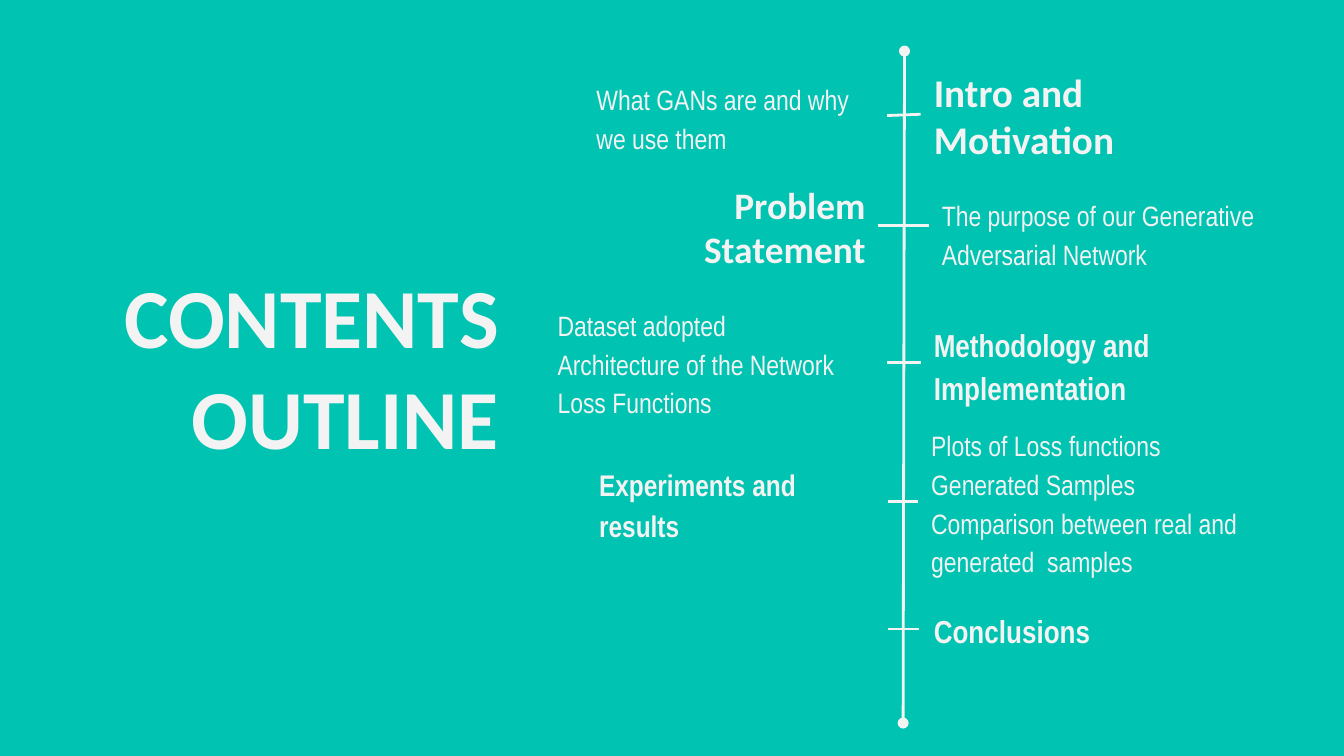
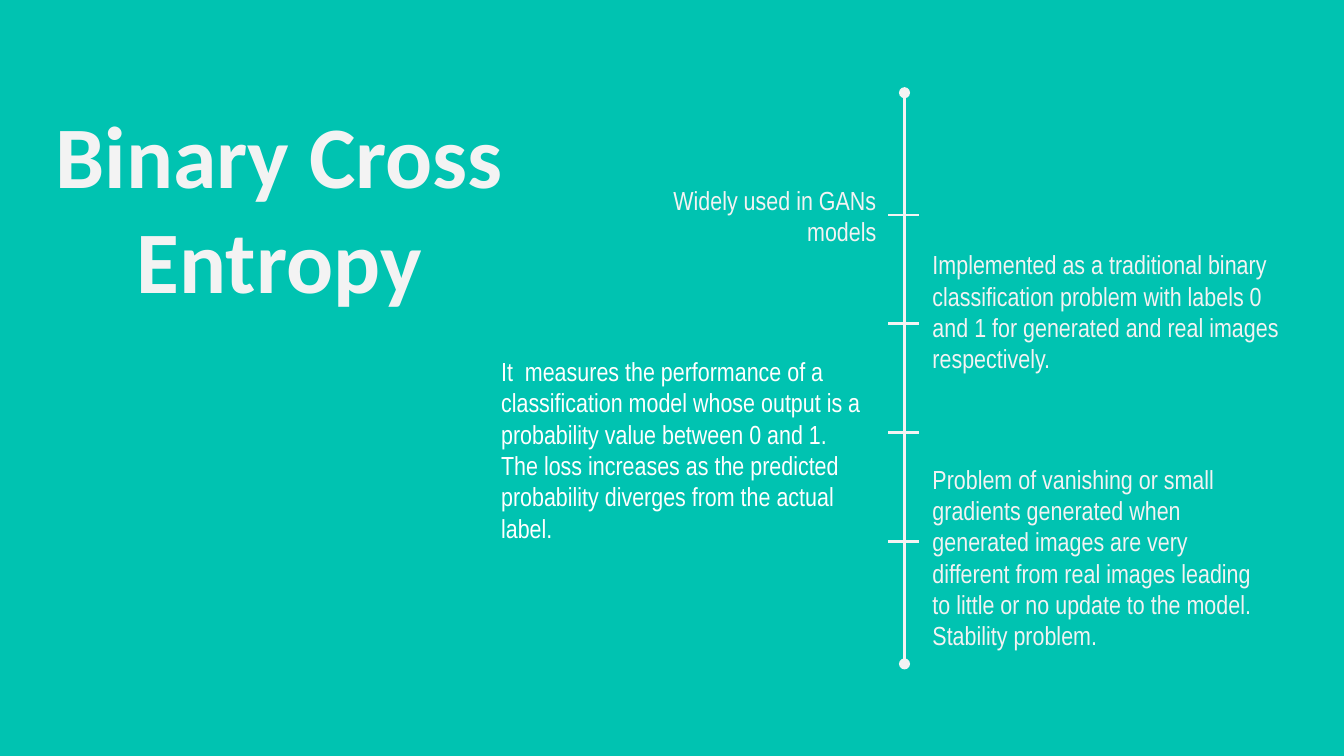
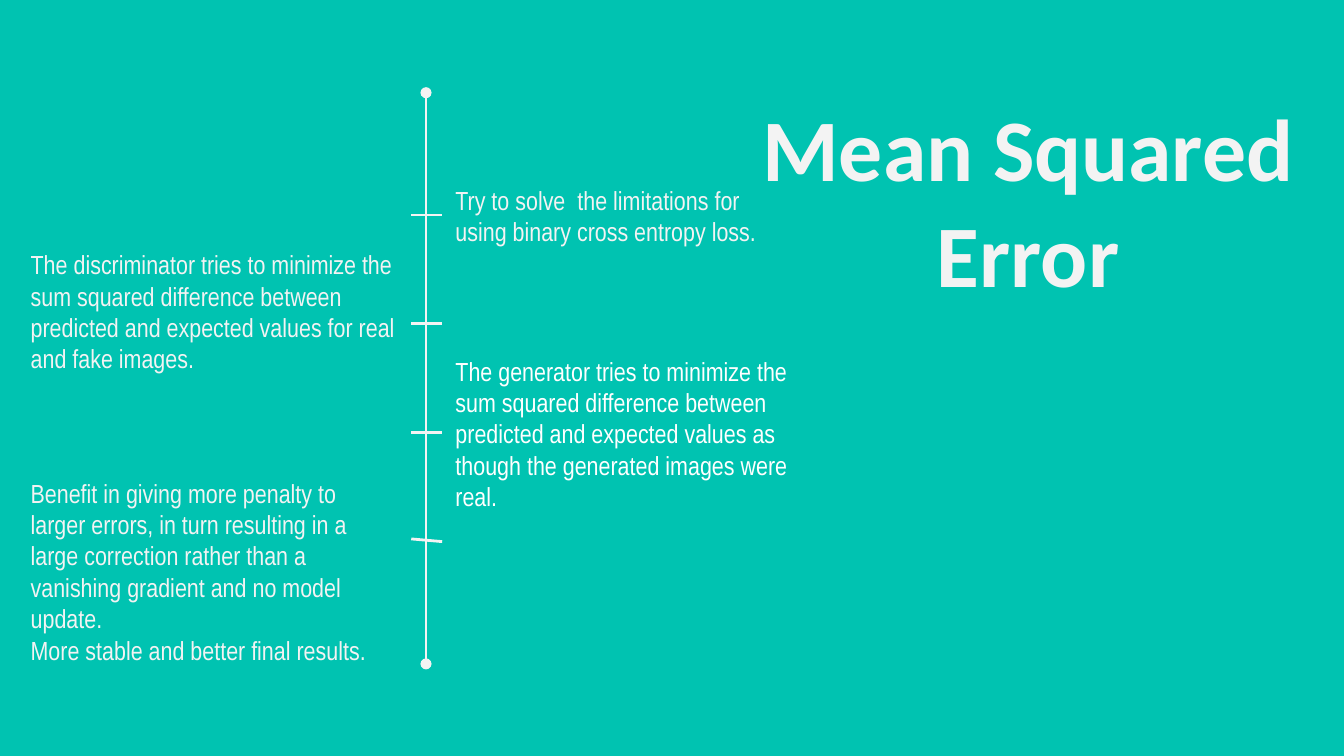
from dataclasses import dataclass

import lxml.etree
import pptx
import pptx.dml.color
import pptx.enum.shapes
import pptx.enum.text
import pptx.oxml.ns
import pptx.util

Inches = pptx.util.Inches
Align = pptx.enum.text.PP_ALIGN
Anchor = pptx.enum.text.MSO_ANCHOR

# Shared look
TEAL = pptx.dml.color.RGBColor(0x00, 0xC3, 0xB1)
PALE = pptx.dml.color.RGBColor(0xF3, 0xF3, 0xF3)
WHITE = pptx.dml.color.RGBColor(0xFF, 0xFF, 0xFF)
HEADING_FONT = "Calibri"
BODY_FONT = "Arial Narrow"
INSET = 0.1
LINE_WIDTH = pptx.util.Pt(1.5)
TICK_GAP = 0.81


@dataclass(frozen=True)
class TextBlock:
    left: float
    top: float
    width: float
    height: float
    paragraphs: tuple[str, ...]
    size: float = 14
    font: str = BODY_FONT
    bold: bool = False
    color: pptx.dml.color.RGBColor = PALE
    align: Align = Align.LEFT
    anchor: Anchor = Anchor.MIDDLE
    line_spacing: float = 1.0
    top_inset: float = INSET
    right_inset: float = INSET


@dataclass(frozen=True)
class Segment:
    start_x: float
    start_y: float
    end_x: float
    end_y: float


@dataclass(frozen=True)
class TimelineSlide:
    title: TextBlock
    axis: Segment
    ticks: list[Segment]
    notes: list[TextBlock]


def title_block(left: float, top: float, width: float, text: str,
                size: float, align: Align) -> TextBlock:
    return TextBlock(left, top, width, 1.89, (text,), size, HEADING_FONT, True,
                     align=align, anchor=Anchor.TOP)


def outline_detail(left: float, top: float, width: float, height: float,
                   *paragraphs: str, anchor: Anchor = Anchor.MIDDLE) -> TextBlock:
    return TextBlock(left, top, width, height, paragraphs, 15,
                     anchor=anchor, line_spacing=1.15)


def outline_heading(left: float, top: float, text: str, size: float,
                    font: str = BODY_FONT, align: Align = Align.LEFT) -> TextBlock:
    spacing = 1.15 if font == BODY_FONT else 1.0
    return TextBlock(left, top, 2.26, 0.69, (text,), size, font, True,
                     align=align, line_spacing=spacing)


def loss_axis(x: float) -> Segment:
    return Segment(x, 0.69, x, 4.94)


def loss_ticks(left: float, right: float, last_drop: float = 0) -> list[Segment]:
    """Four evenly spaced ticks; the last one may slope slightly."""
    heights = [1.6 + index * TICK_GAP for index in range(4)]
    drops = [0, 0, 0, last_drop]
    return [Segment(left, y - drop, right, y) for y, drop in zip(heights, drops)]


def add_text(slide: pptx.slide.Slide, block: TextBlock) -> None:
    shape = slide.shapes.add_textbox(Inches(block.left), Inches(block.top),
                                     Inches(block.width), Inches(block.height))
    frame = shape.text_frame
    frame.word_wrap = True
    frame.vertical_anchor = block.anchor
    frame.margin_left = frame.margin_bottom = Inches(INSET)
    frame.margin_top = Inches(block.top_inset)
    frame.margin_right = Inches(block.right_inset)
    for index, text in enumerate(block.paragraphs):
        paragraph = frame.add_paragraph() if index else frame.paragraphs[0]
        paragraph.alignment = block.align
        paragraph.line_spacing = block.line_spacing
        run = paragraph.add_run()
        run.text = text
        run.font.name = block.font
        run.font.size = pptx.util.Pt(block.size)
        run.font.bold = block.bold
        run.font.color.rgb = block.color


def add_line(slide: pptx.slide.Slide, segment: Segment, dots: bool = False) -> None:
    connector = slide.shapes.add_connector(
        pptx.enum.shapes.MSO_CONNECTOR.STRAIGHT,
        Inches(segment.start_x), Inches(segment.start_y),
        Inches(segment.end_x), Inches(segment.end_y))
    connector.line.color.rgb = PALE
    connector.line.width = LINE_WIDTH
    properties = connector._element.spPr
    qualified = pptx.oxml.ns.qn
    if dots:
        outline = properties.find(qualified("a:ln"))
        for end in ("a:headEnd", "a:tailEnd"):
            lxml.etree.SubElement(outline, qualified(end), type="oval")
    lxml.etree.SubElement(properties, qualified("a:effectLst"))


def add_timeline_slide(presentation: pptx.presentation.Presentation,
                       content: TimelineSlide) -> None:
    slide = presentation.slides.add_slide(presentation.slide_layouts[6])
    slide.background.fill.solid()
    slide.background.fill.fore_color.rgb = TEAL
    add_text(slide, content.title)
    add_line(slide, content.axis, dots=True)
    for note in content.notes:
        add_text(slide, note)
    for tick in content.ticks:
        add_line(slide, tick)


# Contents outline
CONTENTS = TimelineSlide(
    title=title_block(0.79, 1.87, 3.02, "CONTENTS OUTLINE", 45, Align.RIGHT),
    axis=Segment(6.73, 0.38, 6.72, 5.38),
    ticks=[
        Segment(6.6, 0.86, 6.85, 0.85),
        Segment(6.53, 1.68, 6.91, 1.68),
        Segment(6.6, 2.7, 6.85, 2.7),
        Segment(6.61, 3.73, 6.83, 3.73),
        Segment(6.61, 4.68, 6.84, 4.68),
    ],
    notes=[
        outline_detail(4.34, 0.48, 2.26, 0.77, "What GANs are and why we use them"),
        outline_heading(6.85, 0.51, "Intro and Motivation", 21, HEADING_FONT),
        outline_detail(6.91, 1.34, 2.8, 0.69,
                       "The purpose of our Generative Adversarial Network",
                       anchor=Anchor.TOP),
        outline_detail(4.05, 2.2, 2.55, 0.98, "Dataset adopted",
                       "Architecture of the Network", "Loss Functions"),
        outline_detail(6.83, 3.03, 3.02, 1.4, "Plots of Loss functions",
                       "Generated Samples",
                       "Comparison between real and generated  samples"),
        outline_heading(4.28, 1.34, "Problem Statement", 20, HEADING_FONT, Align.RIGHT),
        outline_heading(4.36, 3.39, "Experiments and results", 16),
        outline_heading(6.85, 2.36, "Methodology and Implementation", 17),
        outline_heading(6.85, 4.33, "Conclusions", 17),
    ],
)

# Binary cross entropy
CROSS_ENTROPY = TimelineSlide(
    title=title_block(0.13, 0.65, 3.9, "Binary Cross Entropy", 47, Align.CENTER),
    axis=loss_axis(6.73),
    ticks=loss_ticks(6.61, 6.84),
    notes=[
        TextBlock(4.36, 1.26, 2.26, 0.69, ("Widely used in GANs models",),
                  align=Align.RIGHT),
        TextBlock(6.84, 1.75, 2.93, 1.31, (
            "Implemented as a traditional binary classification problem with "
            "labels 0 and 1 for generated and real images respectively.",
        ), anchor=Anchor.TOP),
        TextBlock(3.63, 2.16, 2.99, 2.13, (
            "It  measures the performance of a classification model whose output "
            "is a probability value between 0 and 1. The loss increases as the "
            "predicted probability diverges from the actual label.",
        ), color=WHITE, top_inset=0.34, right_inset=0.18),
        TextBlock(6.84, 2.99, 2.64, 2.07, (
            "Problem of vanishing or small gradients generated when generated "
            "images are very different from real images leading to little or no "
            "update to the model.",
            "Stability problem.",
        ), top_inset=0.34),
    ],
)

# Mean squared error
SQUARED_ERROR = TimelineSlide(
    title=title_block(5.54, 0.6, 4.22, "Mean Squared Error", 47, Align.CENTER),
    axis=loss_axis(3.17),
    ticks=loss_ticks(3.06, 3.29, last_drop=0.02),
    notes=[
        TextBlock(3.29, 1.26, 2.47, 0.69, (
            "Try to solve  the limitations for using binary cross entropy loss.",
        )),
        TextBlock(0.13, 1.75, 2.93, 1.31, (
            "The discriminator tries to minimize the sum squared difference "
            "between predicted and expected values for real and fake images.",
        ), anchor=Anchor.TOP),
        TextBlock(3.29, 2.16, 2.99, 2.13, (
            "The generator tries to minimize the sum squared difference between "
            "predicted and expected values as though the generated images were real.",
        ), color=WHITE),
        TextBlock(0.13, 3.03, 2.93, 2.02, (
            "Benefit in giving more penalty to larger errors, in turn resulting in "
            "a large correction rather than a vanishing gradient and no model update.",
            "More stable and better final results.",
        ), anchor=Anchor.BOTTOM, right_inset=0.14),
    ],
)


def main() -> None:
    presentation = pptx.Presentation()
    presentation.slide_width = Inches(10)
    presentation.slide_height = Inches(10) * 9 // 16
    for content in (CONTENTS, CROSS_ENTROPY, SQUARED_ERROR):
        add_timeline_slide(presentation, content)
    presentation.save("out.pptx")


if __name__ == "__main__":
    main()
